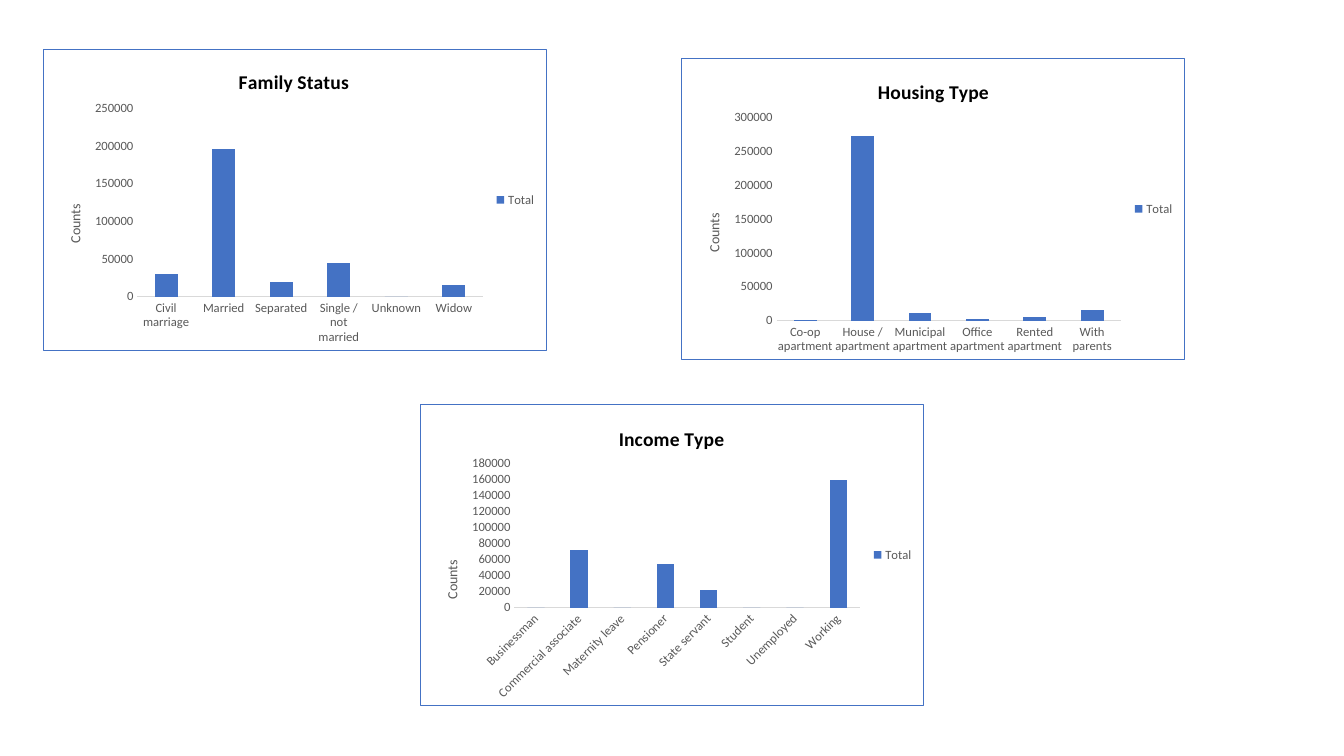
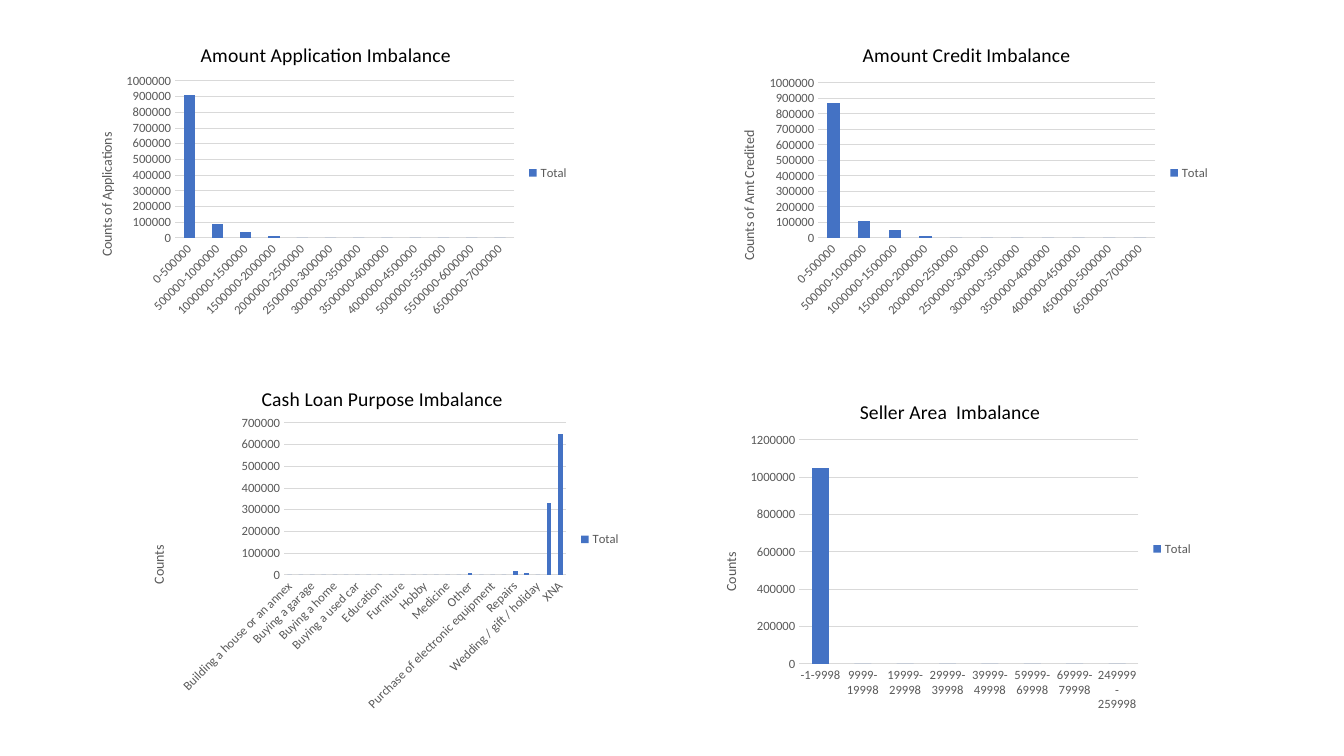
from lxml.etree import SubElement
from pptx import Presentation
from pptx.chart.data import CategoryChartData
from pptx.dml.color import RGBColor
from pptx.enum.chart import XL_CHART_TYPE, XL_LEGEND_POSITION, XL_TICK_MARK
from pptx.oxml import parse_xml
from pptx.oxml.ns import nsdecls, qn
from pptx.util import Inches, Pt

PIXEL = 914400 / 100.8
FONT = "Calibri"
BLUE, GREY, PALE, BLACK, WHITE = "4472C4", "595959", "D9D9D9", "000000", "FFFFFF"
CHART_WIDTH = 504

BANDS = ["0-500000", "500000-1000000", "1000000-1500000", "1500000-2000000",
         "2000000-2500000", "2500000-3000000", "3000000-3500000",
         "3500000-4000000", "4000000-4500000"]

# frame: left, top, height; plot: left, top, width, height
# title: text left, centre line; axis_title: centre line, text top; scale: maximum, step
CLIENT_PROFILE = [
    dict(title="Family Status", axis="Counts", frame=(43, 49, 302),
         plot=(137, 108, 346, 189), title_at=(239, 77), axis_at=(73, 205),
         scale=(250000, 50000), tilted=False,
         counts={"Civil marriage": 30000, "Married": 196000, "Separated": 20000,
                 "Single / not married": 45000, "Unknown": 0, "Widow": 16000}),
    dict(title="Housing Type", axis="Counts", frame=(681, 58, 302),
         plot=(776, 117, 345, 204), title_at=(878, 87), axis_at=(712, 214),
         scale=(300000, 50000), tilted=False,
         counts={"Co-op apartment": 1000, "House / apartment": 273000,
                 "Municipal apartment": 11000, "Office apartment": 3000,
                 "Rented apartment": 5000, "With parents": 15000}),
    dict(title="Income Type", axis="Counts", frame=(420, 404, 302),
         plot=(514, 463, 346, 145), title_at=(619, 434), axis_at=(450, 561),
         scale=(180000, 20000), tilted=True,
         counts={"Businessman": 0, "Commercial associate": 72000,
                 "Maternity leave": 0, "Pensioner": 55000, "State servant": 22000,
                 "Student": 0, "Unemployed": 0, "Working": 159000}),
]

LOAN_PURPOSES = [
    "Building a house or an annex", "Business development", "Buying a garage",
    "Buying a holiday home / land", "Buying a home", "Buying a new car",
    "Buying a used car", "Car repairs", "Education", "Everyday expenses",
    "Furniture", "Gasification / water supply", "Hobby", "Journey", "Medicine",
    "Money for a third person", "Other", "Payments on other loans",
    "Purchase of electronic equipment", "Refusal to name the goal", "Repairs",
    "Urgent needs", "Wedding / gift / holiday", "XAP", "XNA"]
SELLER_AREAS = ["-1-9998", "9999-19998", "19999-29998", "29999-39998",
                "39999-49998", "59999-69998", "69999-79998", "249999-259998"]


def counts_of(categories, **known):
    """Zero for every category, then the known counts, keyed by n and position."""
    counts = dict.fromkeys(categories, 0)
    for key, count in known.items():
        counts[categories[int(key[1:])]] = count
    return counts


IMBALANCES = [
    dict(title="Amount Application Imbalance", axis="Counts of Applications",
         frame=(75, 22, 302), plot=(175, 81, 339, 157), title_at=(201, 51),
         axis_at=(105, 133), scale=(1000000, 100000), tilted=True,
         counts=counts_of(BANDS + ["5000000-5500000", "5500000-6000000",
                                   "6500000-7000000"],
                          n0=910000, n1=90000, n2=40000, n3=10000)),
    dict(title="Amount Credit Imbalance", axis="Counts of Amt Credited",
         frame=(716, 22, 302), plot=(818, 83, 337, 155), title_at=(863, 51),
         axis_at=(747, 131), scale=(1000000, 100000), tilted=True,
         counts=counts_of(BANDS + ["4500000-5000000", "6500000-7000000"],
                          n0=870000, n1=110000, n2=50000, n3=10000)),
    dict(title="Cash Loan Purpose Imbalance", axis="Counts", frame=(127, 360, 359),
         plot=(284, 423, 282, 152), title_at=(262, 395), axis_at=(157, 546),
         scale=(700000, 100000), tilted=True,
         counts=counts_of(LOAN_PURPOSES, n16=10000, n20=20000, n21=10000,
                          n23=330000, n24=650000)),
    dict(title="Seller Area  Imbalance", axis="Counts", frame=(699, 378, 342),
         plot=(799, 440, 339, 224), title_at=(860, 408), axis_at=(729, 553),
         scale=(1200000, 200000), tilted=False,
         counts=counts_of(SELLER_AREAS, n0=1050000)),
]

# Each slide: charts, framed with bold titles, gridlines
SLIDES = [(CLIENT_PROFILE, True, False), (IMBALANCES, False, True)]


def px(length):
    """Pixels to EMU."""
    return round(length * PIXEL)


def color(value):
    """Hex string to a colour."""
    return RGBColor.from_string(value)


def style(font, size, value, bold=False):
    """Set face, size, colour and weight of a font."""
    font.name, font.size, font.bold = FONT, Pt(size), bold
    font.color.rgb = color(value)


def place(parent, index, frame, left, top, width=None, height=None):
    """Give a chart part a fixed position, as shares of the chart frame."""
    for old in parent.findall(qn("c:layout")):
        parent.remove(old)
    layout = parse_xml(f"<c:layout {nsdecls('c')}/>")
    parent.insert(index, layout)
    manual = SubElement(layout, qn("c:manualLayout"))
    settings = [("xMode", "edge"), ("yMode", "edge"),
                ("x", (left - frame[0]) / CHART_WIDTH),
                ("y", (top - frame[1]) / frame[2])]
    if width:
        settings.insert(0, ("layoutTarget", "inner"))
        settings += [("w", width / CHART_WIDTH), ("h", height / frame[2])]
    for name, value in settings:
        SubElement(manual, qn(f"c:{name}")).set("val", str(value))


def write_title(title, text, size, value, bold=False):
    """Fill in a chart title or an axis title."""
    title.text_frame.text = text
    style(title.text_frame.paragraphs[0].runs[0].font, size, value, bold)


def set_background(chart, framed):
    """White chart ground, with a thin blue border when framed."""
    line = (f'<a:solidFill><a:srgbClr val="{BLUE}"/></a:solidFill>'
            if framed else "<a:noFill/>")
    chart.element.find(qn("c:chart")).addnext(parse_xml(
        f'<c:spPr {nsdecls("c", "a")}><a:solidFill><a:srgbClr val="{WHITE}"/>'
        f'</a:solidFill><a:ln w="{Pt(0.75)}">{line}</a:ln></c:spPr>'))


def style_axes(chart, content, gridlines):
    """Set scale, tick labels, lines and the title of the value axis."""
    categories, values = chart.category_axis, chart.value_axis
    for axis in (categories, values):
        axis.major_tick_mark = axis.minor_tick_mark = XL_TICK_MARK.NONE
        style(axis.tick_labels.font, 9, GREY)
    categories.format.line.color.rgb = color(PALE)
    categories.format.line.width = Pt(0.75)
    categories.has_major_gridlines = False
    label_body = categories._element.find(qn("c:txPr")).find(qn("a:bodyPr"))
    label_body.set("rot", "-2700000" if content["tilted"] else "-60000000")
    values.format.line.fill.background()
    values.minimum_scale = 0
    values.maximum_scale, values.major_unit = content["scale"]
    values.has_major_gridlines = gridlines
    if gridlines:
        values.major_gridlines.format.line.color.rgb = color(PALE)
        values.major_gridlines.format.line.width = Pt(0.75)

    write_title(values.axis_title, content["axis"], 10, GREY)
    body = values.axis_title.text_frame._txBody.find(qn("a:bodyPr"))
    body.set("rot", "-5400000")
    body.set("vert", "horz")
    centre, top = content["axis_at"]
    place(values.axis_title._element, 1, content["frame"], centre - 10, top - 3)


def add_counts_chart(slide, content, framed, gridlines):
    """Add one column chart of counts."""
    left, top, height = content["frame"]
    table = CategoryChartData()
    table.categories = list(content["counts"])
    table.add_series("Total", list(content["counts"].values()))
    chart = slide.shapes.add_chart(
        XL_CHART_TYPE.COLUMN_STACKED, px(left), px(top), px(CHART_WIDTH),
        px(height), table).chart
    style(chart.font, 10, BLACK)
    set_background(chart, framed)

    chart.has_title = True
    write_title(chart.chart_title, content["title"], 14, BLACK, framed)
    text_left, centre = content["title_at"]
    place(chart.chart_title._element, 1, content["frame"], text_left - 4, centre - 13)

    chart.has_legend = True
    chart.legend.position = XL_LEGEND_POSITION.RIGHT
    chart.legend.include_in_layout = False
    style(chart.legend.font, 9, GREY)

    columns = chart.plots[0]
    columns.gap_width, columns.overlap = 150, 100
    columns.vary_by_categories = False
    columns.series[0].format.fill.solid()
    columns.series[0].format.fill.fore_color.rgb = color(BLUE)
    style_axes(chart, content, gridlines)
    plot_area = chart.element.find(qn("c:chart")).find(qn("c:plotArea"))
    place(plot_area, 0, content["frame"], *content["plot"])


deck = Presentation()
deck.slide_width, deck.slide_height = Inches(13.33), Inches(7.5)
for charts, framed, gridlines in SLIDES:
    slide = deck.slides.add_slide(deck.slide_layouts[6])
    for content in charts:
        add_counts_chart(slide, content, framed, gridlines)
deck.save("out.pptx")
